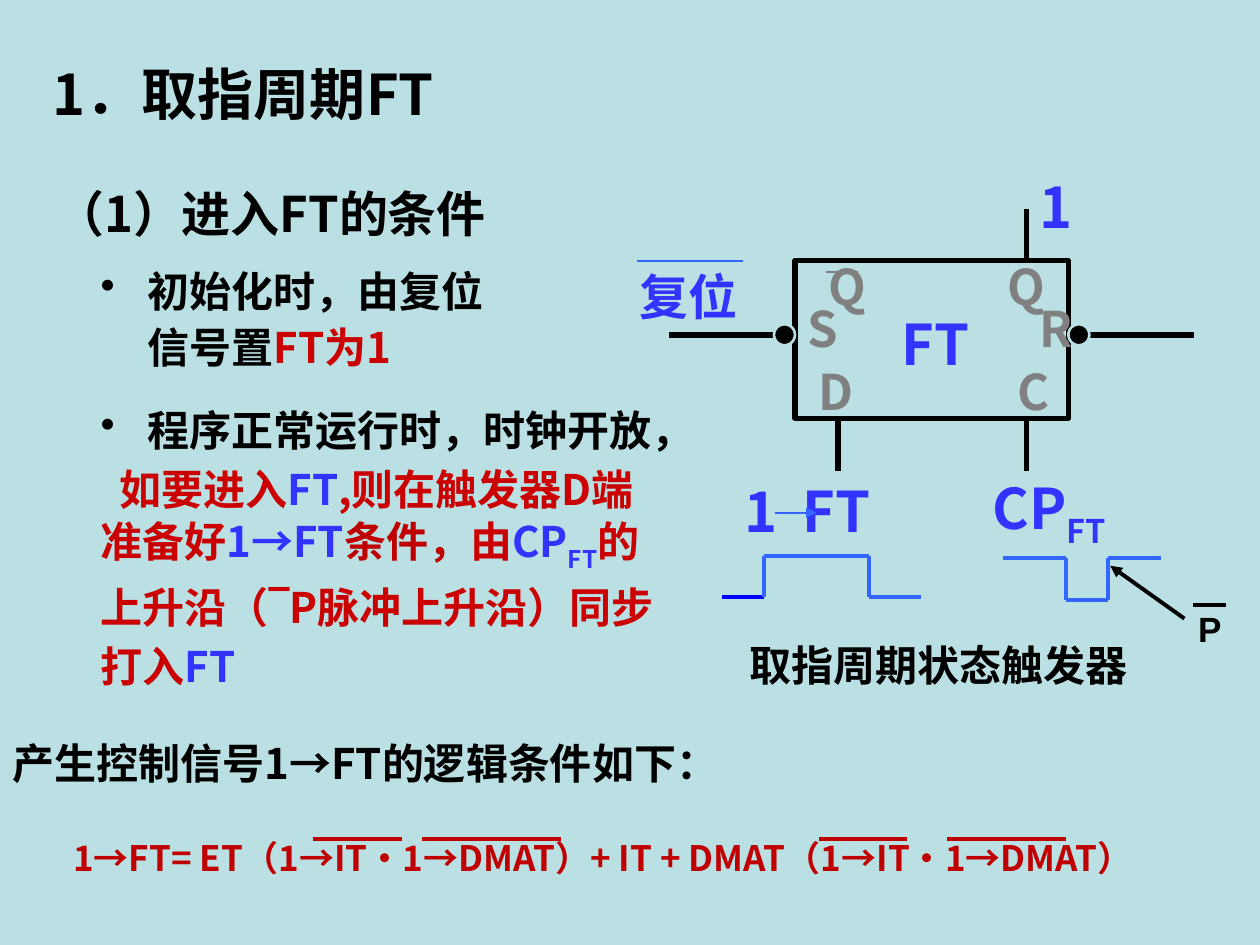
from itertools import pairwise

from lxml.etree import SubElement
from pptx import Presentation
from pptx.dml.color import RGBColor
from pptx.enum.shapes import MSO_CONNECTOR, MSO_SHAPE
from pptx.enum.text import MSO_ANCHOR as ANCHOR, PP_ALIGN as ALIGN
from pptx.oxml.ns import qn
from pptx.util import Pt

PALE = RGBColor(0xBB, 0xE0, 0xE3)
BLACK = RGBColor(0, 0, 0)
GRAY = RGBColor(0x80, 0x80, 0x80)
RED = RGBColor(0xCB, 0x01, 0x01)
DARK_RED = RGBColor(0xC0, 0, 0)
VIOLET = RGBColor(0x33, 0x33, 0xFF)
BLUE = RGBColor(0x33, 0x66, 0xFF)
PURE_BLUE = RGBColor(0, 0, 0xFF)
CJK = "Noto Sans CJK SC"


def style(run, size, color, font=CJK, baseline=None):
    run.font.size = Pt(size)
    run.font.bold = True
    run.font.color.rgb = color
    run.font.name = font
    props = run.font._element
    SubElement(props, qn("a:ea")).set("typeface", CJK)
    if baseline:
        props.set("baseline", str(baseline * 1000))


def add_runs(paragraph, pieces, size):
    for text, color, *baseline in pieces:
        run = paragraph.add_run()
        run.text = text
        style(run, size, color, CJK, *baseline)


def text_frame(slide, x, y, width, height, anchor=ANCHOR.TOP, wrap=True):
    frame = slide.shapes.add_textbox(Pt(x), Pt(y), Pt(width), Pt(height)).text_frame
    frame.word_wrap = wrap
    frame.vertical_anchor = anchor
    return frame


def label(slide, text, box, size, color, font=CJK, anchor=ANCHOR.TOP, wrap=True):
    frame = text_frame(slide, *box, anchor, wrap)
    frame.text = text
    paragraph = frame.paragraphs[0]
    for run in paragraph.runs:
        style(run, size, color, font)
    return paragraph


def line(slide, start, end, color, width, arrow=None):
    connector = slide.shapes.add_connector(
        MSO_CONNECTOR.STRAIGHT, *(Pt(v) for v in (*start, *end)))
    connector.line.color.rgb = color
    connector.line.width = Pt(width)
    properties = connector._element.spPr
    if arrow:
        SubElement(properties.find(qn("a:ln")), qn(f"a:{arrow}")).set("type", "triangle")
    SubElement(properties, qn("a:effectLst"))


def indent(paragraph, margin, first, bullet=None):
    properties = paragraph._p.get_or_add_pPr()
    properties.set("marL", str(Pt(margin)))
    properties.set("indent", str(Pt(first)))
    if bullet:
        SubElement(properties, qn("a:buChar")).set("char", bullet)


def filled_shape(slide, kind, box, fill, outline, width):
    shape = slide.shapes.add_shape(kind, *(Pt(v) for v in box))
    shape.shadow.inherit = False
    shape.fill.solid()
    shape.fill.fore_color.rgb = fill
    shape.line.color.rgb = outline
    shape.line.width = Pt(width)


def headings(slide, left, top):
    label(slide, "1．取指周期FT", (left, top, 272, 54.7), 32, BLACK, anchor=ANCHOR.MIDDLE)
    label(slide, "（1）进入FT的条件", (left + 1.5, top + 75, 320, 41), 28, BLACK,
          anchor=ANCHOR.MIDDLE)


def conditions(slide, left, top):
    reset = text_frame(slide, left, top, 233.3, 71.3).paragraphs[0]
    indent(reset, 27, -27, "•")
    reset.line_spacing = 1.1
    add_runs(reset, [("初始化时，由复位信号置", BLACK), ("FT为1", RED)], 24)

    frame = text_frame(slide, left, top + 87.8, 337.7, 167)
    running = frame.paragraphs[0]
    indent(running, 27, -27, "•")
    running.line_spacing = 0.8
    add_runs(running, [("程序正常运行时，时钟开放，", BLACK)], 24)
    entry = frame.add_paragraph()
    indent(entry, 0, 10.8)
    entry.line_spacing = Pt(33.8)
    add_runs(entry, [
        ("如要进入", RED), ("FT", VIOLET), (",则在触发器D端准备好", RED),
        ("1→FT", VIOLET), ("条件，", DARK_RED), ("由", RED),
        ("CP", VIOLET), ("FT", VIOLET, -25),
        ("的上升沿（‾P脉冲上升沿）同步打入", RED), ("FT", VIOLET)], 24)


def flip_flop(slide, left, top, width, height):
    def at(x, y):
        return left + x, top + y

    filled_shape(slide, MSO_SHAPE.RECTANGLE, (left, top, width, height), PALE, BLACK, 3)
    label(slide, "FT", (*at(54, 24.5), 84, 45.4), 32, VIOLET)
    pins = [("S", 0, 18), ("R", 132.5, 18), ("D", 6.5, 54), ("C", 120.2, 54),
            ("Q", 114.5, -5.8), ("Q", 12.2, -5.8)]
    for name, x, y in pins:
        label(slide, name, (*at(x, y), 72, 41), 28, GRAY)
    line(slide, at(18, 6.5), at(36, 6.5), GRAY, 1.5)

    leads = [(132.5, -29.5, 132.5, 0), (24.5, height, 24.5, height + 30),
             (132.5, height, 132.5, height + 30),
             (width + 12, 42.5, 228.2, 42.5), (-72, 42.5, -12, 42.5)]
    for x1, y1, x2, y2 in leads:
        line(slide, at(x1, y1), at(x2, y2), BLACK, 3)
    for x in (-12, width):
        filled_shape(slide, MSO_SHAPE.OVAL, (*at(x, 36.3), 12, 12), BLACK, PALE, 1.5)

    label(slide, "复位", (*at(-95.8, 0), 90, 41), 28, VIOLET, "Times New Roman")
    line(slide, at(-90, 0), at(-29.5, 0), BLUE, 1)
    label(slide, "1", (*at(132.5, -54), 78, 45.4), 32, VIOLET)


def waveform(slide, points, colors):
    for (start, end), color in zip(pairwise(points), colors):
        line(slide, start, end, color, 2.25)


def pulse(left, top, steps, first, second):
    x1, x2, x3 = steps
    return [(left, top + first), (left + x1, top + first), (left + x1, top + second),
            (left + x2, top + second), (left + x2, top + first), (left + x3, top + first)]


def timing(slide, left, top):
    data = label(slide, "1\tFT", (left + 5.8, top + 2, 120, 45.4), 32, VIOLET)
    tabs = SubElement(data._p.get_or_add_pPr(), qn("a:tabLst"))
    stop = SubElement(tabs, qn("a:tab"))
    stop.set("pos", str(Pt(33)))
    stop.set("algn", "l")
    line(slide, (left + 30.2, top + 26), (left + 54, top + 26), BLUE, 1, "tailEnd")
    waveform(slide, pulse(left, top + 50.5, (23.8, 84.2, 113.8), 23.8, 0),
             [PURE_BLUE] + [BLUE] * 4)

    clock = text_frame(slide, left + 147.6, top, 120, 46).paragraphs[0]
    add_runs(clock, [("CP", VIOLET), ("FT", VIOLET, -25)], 32)
    waveform(slide, pulse(left + 160.6, top + 52, (36, 59.8, 90), 0, 23.8), [BLUE] * 5)

    line(slide, (left + 221.8, top + 56.3), (left + 264.2, top + 86.5), BLACK, 2.25, "headEnd")
    label(slide, "P", (left + 265, top + 76.4, 30, 31.7), 20, BLACK, "Arial")
    line(slide, (left + 269.3, top + 78.5), (left + 288, top + 78.5), BLACK, 2.25)
    label(slide, "取指周期状态触发器", (left + 8.6, top + 95, 238.3, 36), 24, BLACK,
          "Arial", ANCHOR.MIDDLE, False)


def logic(slide, left, top):
    label(slide, "产生控制信号1→FT的逻辑条件如下：", (left, top, 419, 36), 24, BLACK,
          anchor=ANCHOR.MIDDLE, wrap=False)
    formula = label(slide, "1→FT= ET（1→IT·1→DMAT）+ IT + DMAT（1→IT·1→DMAT）",
                    (left, top + 56.9, 689, 31), 20, DARK_RED, anchor=ANCHOR.MIDDLE)
    formula.alignment = ALIGN.CENTER
    for x1, x2 in [(178.6, 229.7), (241.2, 320.4), (468, 518.4), (541.4, 609.1)]:
        line(slide, (left + x1, top + 62), (left + x2, top + 62), DARK_RED, 2.25)


def main():
    deck = Presentation()
    deck.slide_width, deck.slide_height = Pt(720), Pt(540)
    slide = deck.slides.add_slide(deck.slide_layouts[6])
    slide.background.fill.solid()
    slide.background.fill.fore_color.rgb = PALE
    headings(slide, 23, 26)
    conditions(slide, 50.4, 145.4)
    flip_flop(slide, 454.3, 149, 156.2, 90)
    timing(slide, 412.6, 267)
    logic(slide, 0, 417.6)
    deck.save("out.pptx")


if __name__ == "__main__":
    main()
